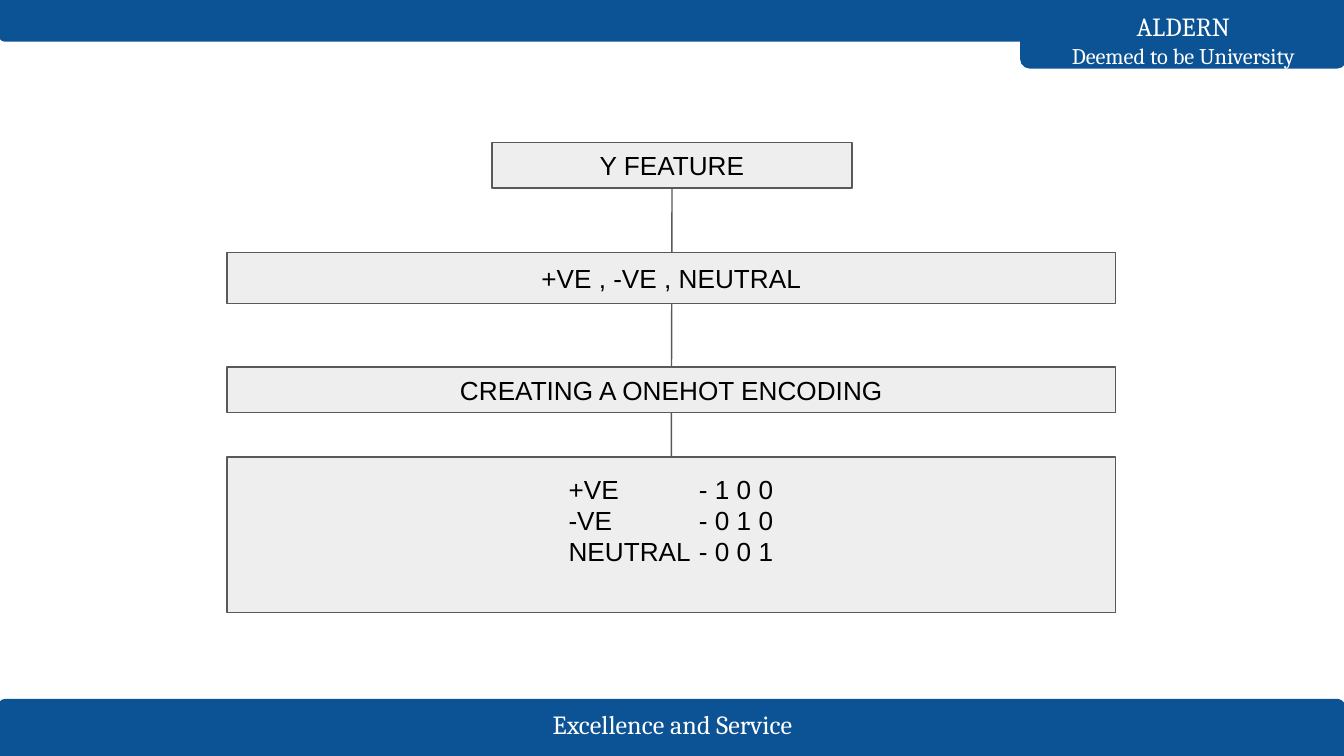
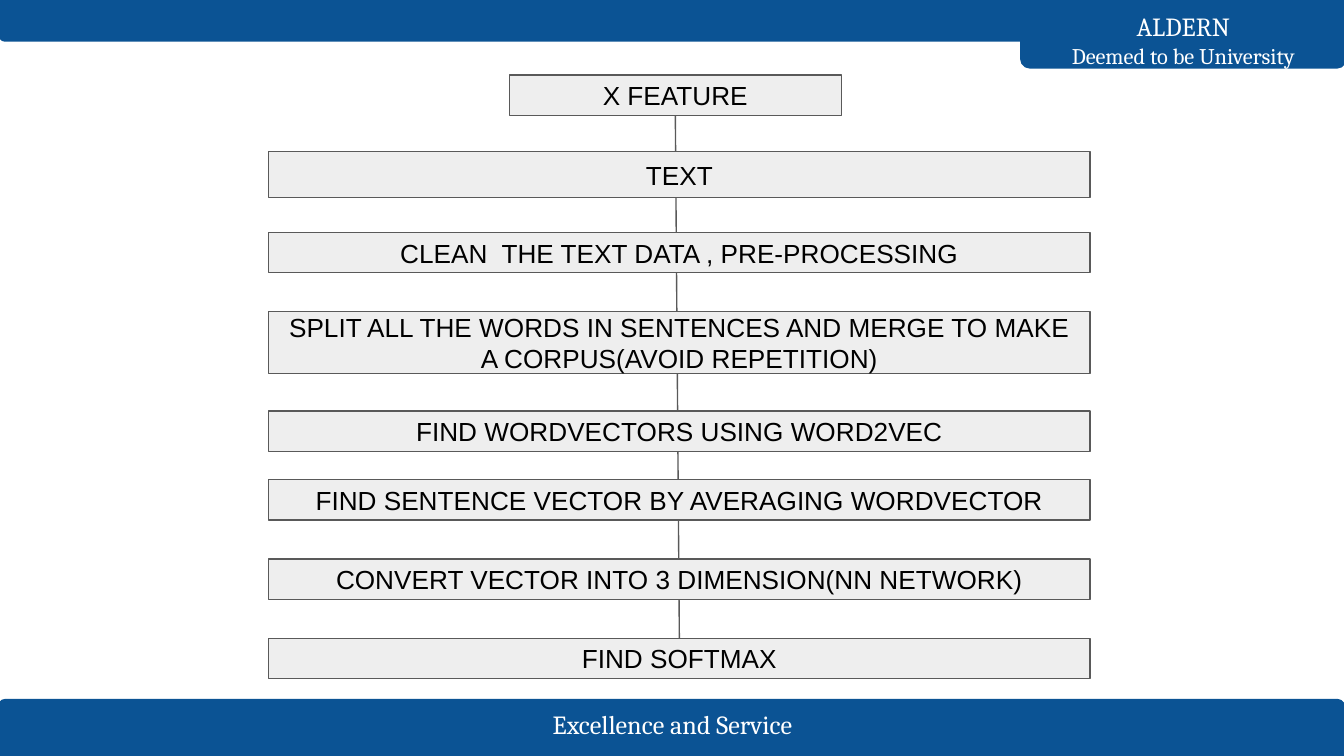
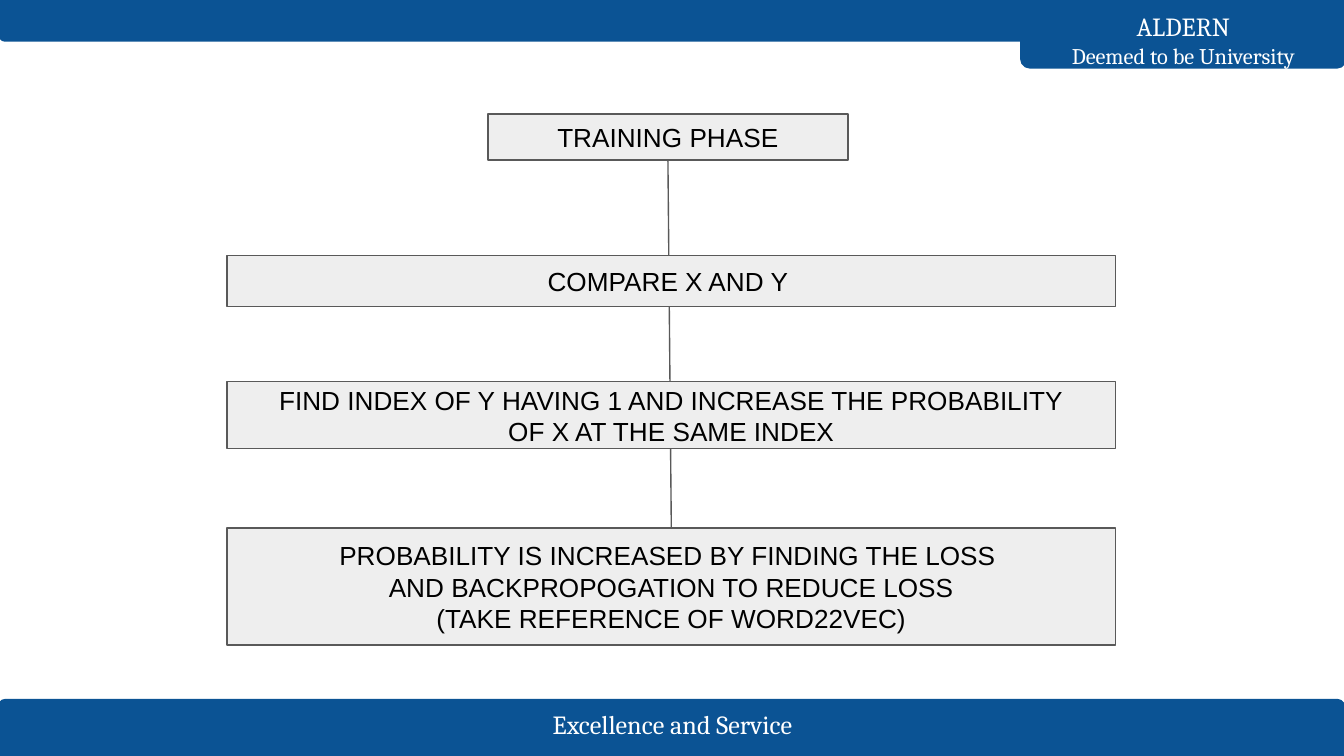
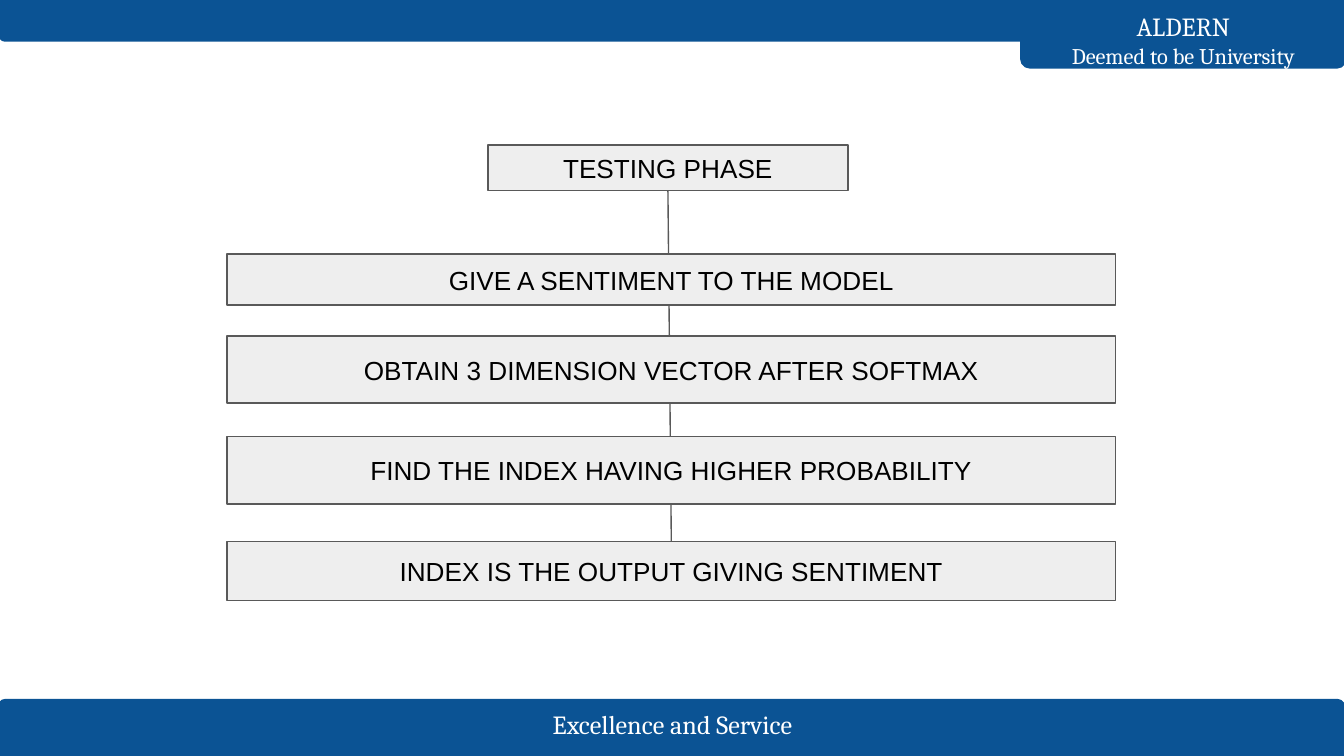
from lxml import etree
from pptx import Presentation
from pptx import util as u
from pptx.dml.color import RGBColor
from pptx.enum import shapes, text
from pptx.oxml import ns

COLOURS = {"band": "0B5394", "band_text": "FFFFFF", "step": "EEEEEE",
           "outline": "595959", "step_text": "000000"}
BAND_FONT, STEP_FONT = "Cambria", "Arial"
INSET = 0.1

# Each flow: box (left, top, width), heading (left, width, height, title) and
# steps (top, height, paragraphs); left and top count from the box.
FLOWS = [
    {"box": (1.69, 1.06, 6.61), "heading": (1.97, 2.68, 0.34, "Y FEATURE"),
     "steps": [(0.82, 0.38, ["+VE , -VE , NEUTRAL"]),
               (1.67, 0.34, ["CREATING A ONEHOT ENCODING"]),
               (2.34, 1.16, ["+VE\t- 1 0 0", "-VE\t- 0 1 0", "NEUTRAL\t- 0 0 1"])]},
    {"box": (2, 0.56, 6.11), "heading": (1.79, 2.47, 0.3, "X FEATURE"),
     "steps": [(0.57, 0.34, ["TEXT"]),
               (1.17, 0.3, ["CLEAN  THE TEXT DATA , PRE-PROCESSING"]),
               (1.76, 0.46, ["SPLIT ALL THE WORDS IN SENTENCES AND MERGE TO MAKE "
                             "A CORPUS(AVOID REPETITION)"]),
               (2.5, 0.3, ["FIND WORDVECTORS USING WORD2VEC"]),
               (3.01, 0.3, ["FIND SENTENCE VECTOR BY AVERAGING WORDVECTOR"]),
               (3.6, 0.3, ["CONVERT VECTOR INTO 3 DIMENSION(NN NETWORK)"]),
               (4.19, 0.3, ["FIND SOFTMAX"])]},
    {"box": (1.69, 0.85, 6.61), "heading": (1.94, 2.68, 0.34, "TRAINING PHASE"),
     "steps": [(1.05, 0.38, ["COMPARE X AND Y "]),
               (1.99, 0.5, ["FIND INDEX OF Y HAVING 1 AND INCREASE THE PROBABILITY",
                            "OF X AT THE SAME INDEX"]),
               (3.08, 0.87, ["PROBABILITY IS INCREASED BY FINDING THE LOSS ",
                             "AND BACKPROPOGATION TO REDUCE LOSS\n"
                             "(TAKE REFERENCE OF WORD22VEC)"])]},
    {"box": (1.69, 1.08, 6.61), "heading": (1.94, 2.68, 0.34, "TESTING PHASE"),
     "steps": [(0.81, 0.38, ["GIVE A SENTIMENT TO THE MODEL"]),
               (1.42, 0.5, ["OBTAIN 3 DIMENSION VECTOR AFTER SOFTMAX"]),
               (2.17, 0.5, ["FIND THE INDEX HAVING HIGHER PROBABILITY"]),
               (2.95, 0.44, ["INDEX IS THE OUTPUT GIVING SENTIMENT"])]},
]


def rgb(name):
    return RGBColor.from_string(COLOURS[name])


def inches(*lengths):
    return [u.Inches(length) for length in lengths]


def write(shape, paragraphs, font, colour):
    """Fill the shape with centred paragraphs, each a list of (line, size)."""
    frame = shape.text_frame
    frame.word_wrap = True
    frame.auto_size = text.MSO_AUTO_SIZE.NONE
    frame.vertical_anchor = text.MSO_ANCHOR.MIDDLE
    frame.margin_left = frame.margin_right = u.Inches(INSET)
    frame.margin_top = frame.margin_bottom = u.Inches(INSET)
    for number, lines in enumerate(paragraphs):
        paragraph = frame.add_paragraph() if number else frame.paragraphs[0]
        paragraph.alignment = text.PP_ALIGN.CENTER
        for position, (words, size) in enumerate(lines):
            if position:
                paragraph.add_line_break()
            run = paragraph.add_run()
            run.text = words
            run.font.name, run.font.size = font, u.Pt(size)
            run.font.color.rgb = rgb(colour)


def paint(shape, fill, line, weight):
    shape.shadow.inherit = False
    shape.fill.solid()
    shape.fill.fore_color.rgb = rgb(fill)
    shape.line.color.rgb = rgb(line)
    shape.line.width = u.Pt(weight)


def add_band(slide, box, rotation=0):
    band = slide.shapes.add_shape(shapes.MSO_SHAPE.ROUND_2_SAME_RECTANGLE, *inches(*box))
    band.adjustments[0], band.adjustments[1] = 0.125, 0
    band.rotation = rotation
    paint(band, "band", "band", 1.5)


def add_band_text(slide, box, lines):
    write(slide.shapes.add_textbox(*inches(*box)), [lines], BAND_FONT, "band_text")


def add_footer(slide, left, top, width):
    add_band(slide, (left, top, width, 0.42))
    add_band_text(slide, (left + 3.67, top + 0.06, 2.69, 0.24),
                  [("Excellence and Service", 14)])


def add_header(slide, left, top, width):
    """Full-width band with the university's tab hanging at its right end."""
    tab_width = 2.41
    tab_left = left + width - tab_width
    add_band(slide, (tab_left, top, tab_width, 0.5), 180)
    add_band(slide, (left, top, width, 0.3), 180)
    add_band_text(slide, (tab_left, top + 0.2, tab_width, 0.19),
                  [("ALDERN", 14), ("Deemed to be University", 12)])


def add_step(slide, box, paragraphs):
    step = slide.shapes.add_shape(shapes.MSO_SHAPE.RECTANGLE, *inches(*box))
    paint(step, "step", "outline", 0.75)
    write(step, [[(line, 14) for line in words.split("\n")] for words in paragraphs],
          STEP_FONT, "step_text")
    if any("\t" in words for words in paragraphs):
        align_codes(step.text_frame)
    return step


def align_codes(frame):
    """Set the label and its code in two columns, above the middle."""
    frame.margin_left = u.Inches(2.54)
    frame.margin_bottom = u.Inches(INSET + 0.22)
    for paragraph in frame.paragraphs:
        paragraph.alignment = text.PP_ALIGN.LEFT
        stops = etree.SubElement(paragraph._p.get_or_add_pPr(), ns.qn("a:tabLst"))
        etree.SubElement(stops, ns.qn("a:tab"), pos=str(u.Inches(0.97)), algn="l")


def add_spine(slide):
    spine = slide.shapes.add_connector(shapes.MSO_CONNECTOR.STRAIGHT, 0, 0, 0, 0)
    spine.line.color.rgb = rgb("outline")
    spine.line.width = u.Pt(0.75)
    etree.SubElement(spine._element.spPr, ns.qn("a:effectLst"))
    return spine


def add_flow(slide, box, heading, steps):
    """Heading and steps from top to bottom, over a line that joins the ends."""
    left, top, width = box
    heading_left, heading_width, heading_height, title = heading
    spine = add_spine(slide)
    first = add_step(slide, (left + heading_left, top, heading_width, heading_height),
                     [title])
    for step_top, height, paragraphs in steps:
        last = add_step(slide, (left, top + step_top, width, height), paragraphs)
    spine.begin_connect(first, 2)
    spine.end_connect(last, 0)


def main():
    deck = Presentation()
    deck.slide_width = u.Inches(10)
    deck.slide_height = deck.slide_width * 9 // 16
    for flow in FLOWS:
        slide = deck.slides.add_slide(deck.slide_layouts[6])
        add_footer(slide, -0.01, 5.21, 10.01)
        add_header(slide, 0, 0, 10.01)
        add_flow(slide, **flow)
    deck.save("out.pptx")


if __name__ == "__main__":
    main()
